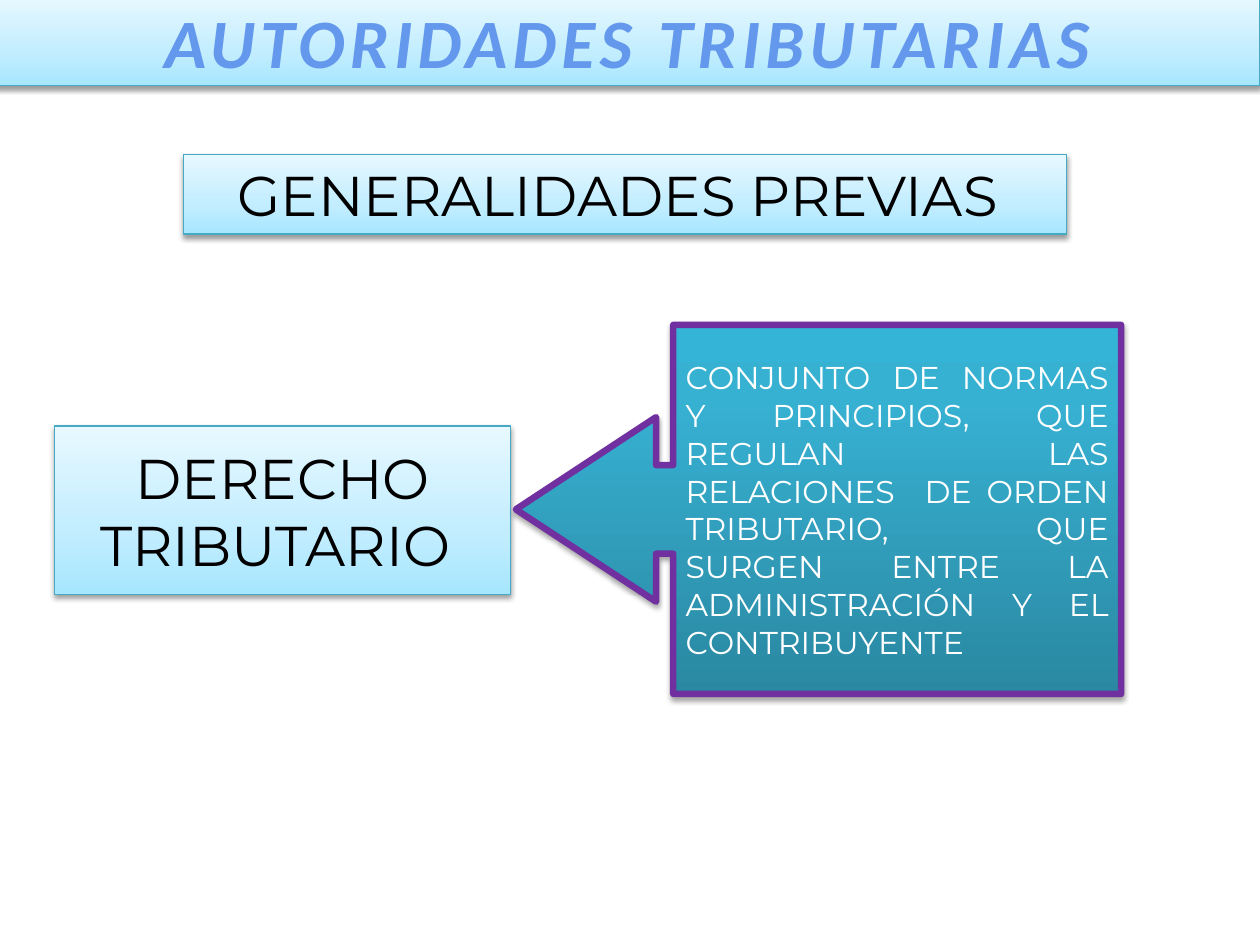
import pptx
import pptx.dml.color
import pptx.enum.shapes
import pptx.enum.text
import pptx.oxml
import pptx.oxml.ns
import pptx.util
from pptx.util import Cm

ALIGN = pptx.enum.text.PP_ALIGN
ANCHOR = pptx.enum.text.MSO_ANCHOR
SHAPE = pptx.enum.shapes.MSO_SHAPE
NAMESPACE = pptx.oxml.ns.nsdecls("a")

COLORS = {
    "pale_low": "A7E6FF",
    "pale_mid": "C1EDFF",
    "pale_high": "E7F8FF",
    "pale_border": "46AAC5",
    "teal_low": "2A88A2",
    "teal_mid": "37B1D2",
    "teal_high": "34B4D6",
    "purple": "7030A0",
    "heading": "6398ED",
    "black": "000000",
    "white": "FFFFFF",
}
PALE = {
    "stops": [(0, "pale_low"), (35, "pale_mid"), (100, "pale_high")],
    "border": "pale_border",
    "border_width": 0.75,
    "shadow_opacity": 38,
}
TEAL = {
    "stops": [(0, "teal_low"), (80, "teal_mid"), (100, "teal_high")],
    "border": "purple",
    "border_width": 3.75,
    "shadow_opacity": 35,
}
HEADING_FONT = {"name": "Calibri", "size": pptx.util.Pt(39.6), "bold": True, "italic": True}
LABEL_FONT = {"name": "Montserrat", "size": pptx.util.Pt(32)}
BODY_FONT = {"name": "Montserrat", "size": pptx.util.Pt(18)}


def rgb(color):
    return pptx.dml.color.RGBColor.from_string(COLORS[color])


def fill_upward(panel, stops):
    panel.fill.gradient()
    panel.fill.gradient_angle = 90
    stop_list = panel.fill._fill._gradFill.find(pptx.oxml.ns.qn("a:gsLst"))
    for stop in list(stop_list):
        stop_list.remove(stop)
    for position, color in stops:
        stop_list.append(pptx.oxml.parse_xml(
            f'<a:gs {NAMESPACE} pos="{position * 1000}">'
            f'<a:srgbClr val="{COLORS[color]}"/></a:gs>'))


def cast_shadow(panel, opacity):
    panel.shadow.inherit = False
    effects = panel._element.spPr.find(pptx.oxml.ns.qn("a:effectLst"))
    effects.append(pptx.oxml.parse_xml(
        f'<a:outerShdw {NAMESPACE} blurRad="{pptx.util.Pt(3.1)}" dist="{pptx.util.Pt(1.7)}" '
        f'dir="5400000" rotWithShape="0"><a:srgbClr val="{COLORS["black"]}">'
        f'<a:alpha val="{opacity * 1000}"/></a:srgbClr></a:outerShdw>'))


def add_panel(slide, kind, box, look):
    panel = slide.shapes.add_shape(kind, *(Cm(length) for length in box))
    fill_upward(panel, look["stops"])
    panel.line.color.rgb = rgb(look["border"])
    panel.line.width = pptx.util.Pt(look["border_width"])
    cast_shadow(panel, look["shadow_opacity"])
    return panel


def write_text(panel, text, font, color, align=ALIGN.CENTER, anchor=ANCHOR.MIDDLE):
    frame = panel.text_frame
    frame.word_wrap = True
    frame.vertical_anchor = anchor
    paragraph = frame.paragraphs[0]
    paragraph.alignment = align
    run = paragraph.add_run()
    run.text = text
    for attribute, value in font.items():
        setattr(run.font, attribute, value)
    run.font.color.rgb = rgb(color)
    return run


def main():
    deck = pptx.Presentation()
    deck.slide_width, deck.slide_height = Cm(25.4), Cm(19.05)
    slide = deck.slides.add_slide(deck.slide_layouts[6])

    subtitle = add_panel(slide, SHAPE.RECTANGLE, (3.7, 3.12, 17.8, 1.6), PALE)
    write_text(subtitle, "GENERALIDADES PREVIAS ", LABEL_FONT, "black", anchor=ANCHOR.TOP)

    banner = add_panel(slide, SHAPE.RECTANGLE, (-0.1, -0.08, 25.5, 1.8), PALE)
    heading = write_text(banner, "AUTORIDADES TRIBUTARIAS", HEADING_FONT, "heading")
    heading.font._element.set("spc", "300")

    term = add_panel(slide, SHAPE.RECTANGLE, (1.1, 8.59, 9.2, 3.4), PALE)
    write_text(term, "DERECHO TRIBUTARIO ", LABEL_FONT, "black")

    definition = add_panel(slide, SHAPE.LEFT_ARROW_CALLOUT, (10.4, 6.55, 12.2, 7.44), TEAL)
    for index, proportion in enumerate((0.24, 0.25, 0.38, 0.74)):
        definition.adjustments[index] = proportion
    write_text(
        definition,
        "CONJUNTO DE NORMAS Y PRINCIPIOS, QUE REGULAN  LAS RELACIONES  DE ORDEN "
        "TRIBUTARIO, QUE SURGEN ENTRE LA ADMINISTRACIÓN Y EL CONTRIBUYENTE ",
        BODY_FONT, "white", align=ALIGN.JUSTIFY)

    deck.save("out.pptx")


if __name__ == "__main__":
    main()
